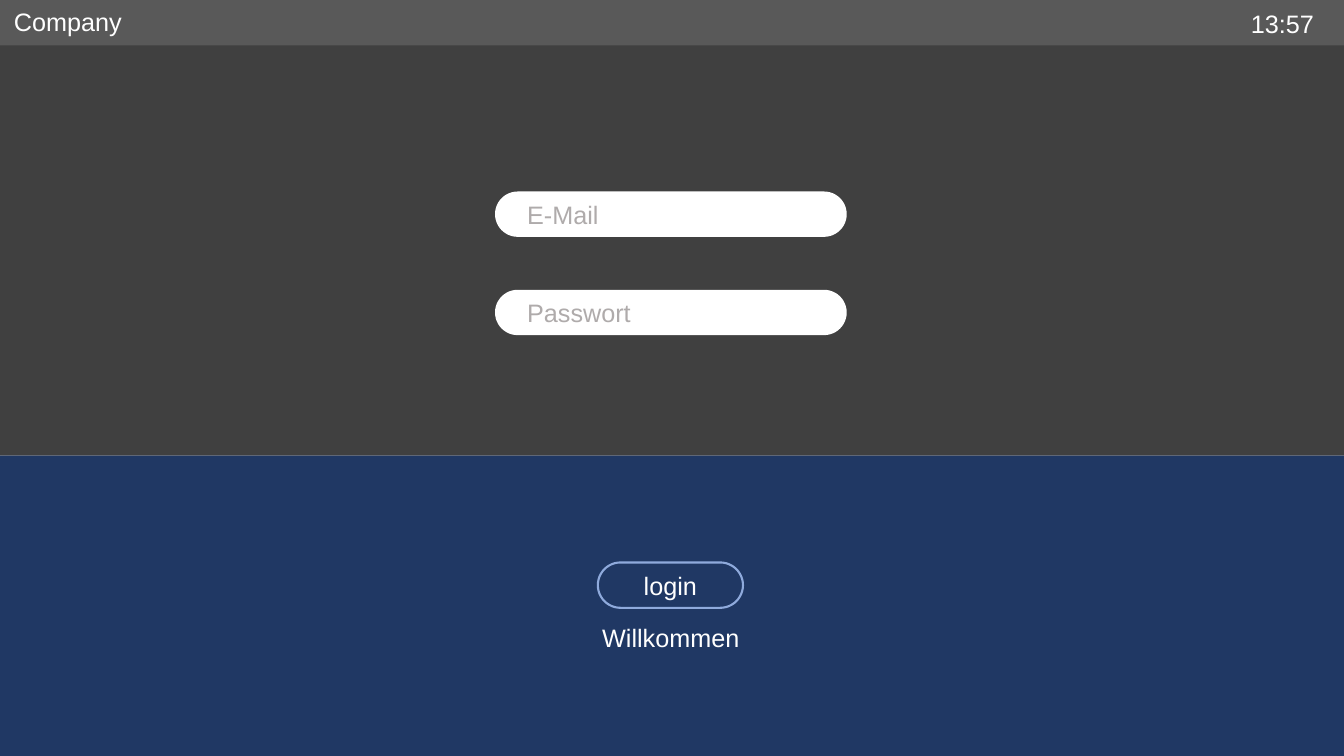
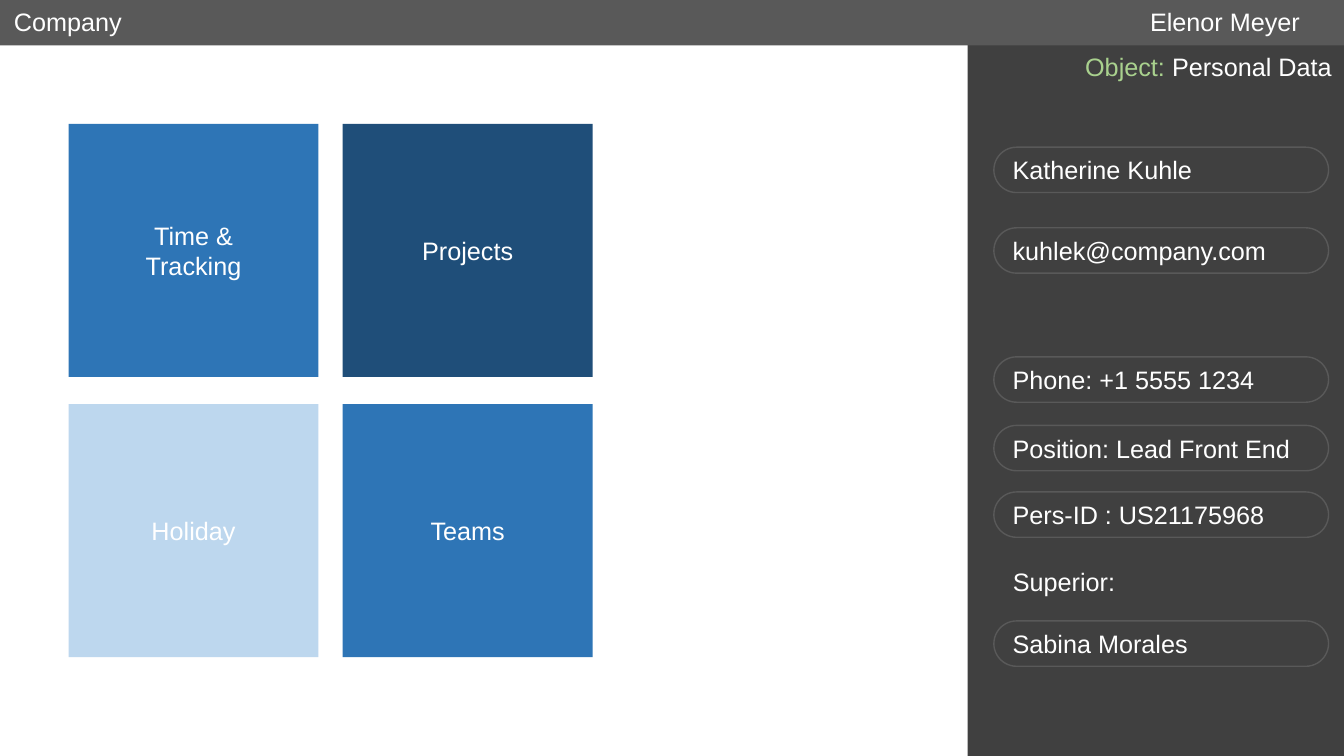
import dataclasses

import pptx
import pptx.dml.color
import pptx.enum.shapes
import pptx.enum.text
import pptx.util

SHAPE = pptx.enum.shapes.MSO_SHAPE
ALIGN = pptx.enum.text.PP_ALIGN
ANCHOR = pptx.enum.text.MSO_ANCHOR


@dataclasses.dataclass(frozen=True)
class Theme:
    font: str = "Arial"
    size: int = 18
    white: str = "FFFFFF"
    dark: str = "404040"
    gray: str = "595959"
    hint: str = "AFABAB"
    navy: str = "203864"
    outline: str = "8FAADC"
    green: str = "A9D18E"
    blue: str = "2E75B6"
    deep_blue: str = "1F4E79"
    pale_blue: str = "BDD7EE"


THEME = Theme()


class Screen:
    columns = 100
    rows = 100
    bar_height = 6
    label_height = 5.33

    def __init__(self, presentation):
        self.presentation = presentation
        self.slide = None

    def across(self, columns):
        return round(self.presentation.slide_width * columns / self.columns)

    def down(self, rows):
        return round(self.presentation.slide_height * rows / self.rows)

    def area(self, left, top, width, height):
        return self.across(left), self.down(top), self.across(width), self.down(height)

    def start(self):
        self.slide = self.presentation.slides.add_slide(self.presentation.slide_layouts[6])

    def set_text(self, shape, parts, align):
        frame = shape.text_frame
        frame.word_wrap = True
        paragraph = frame.paragraphs[0]
        paragraph.alignment = align
        for text, color in parts:
            run = paragraph.add_run()
            run.text = text
            run.font.name = THEME.font
            run.font.size = pptx.util.Pt(THEME.size)
            run.font.color.rgb = pptx.dml.color.RGBColor.from_string(color)

    def label(self, left, top, width, *parts, align=ALIGN.LEFT):
        box = self.slide.shapes.add_textbox(*self.area(left, top, width, self.label_height))
        self.set_text(box, parts, align)

    def block(self, left, top, width, height, fill=None, kind=SHAPE.RECTANGLE):
        shape = self.slide.shapes.add_shape(kind, *self.area(left, top, width, height))
        shape.shadow.inherit = False
        shape.line.fill.background()
        if fill:
            shape.fill.solid()
            shape.fill.fore_color.rgb = pptx.dml.color.RGBColor.from_string(fill)
        else:
            shape.fill.background()
        return shape

    def fill_text(self, shape, text, color, align, margin):
        frame = shape.text_frame
        frame.margin_left = frame.margin_right = self.across(margin)
        frame.margin_top = frame.margin_bottom = 0
        frame.vertical_anchor = ANCHOR.MIDDLE
        self.set_text(shape, [(text, color)], align)

    def pill(self, left, top, width, text, color=THEME.white, fill=None,
             line=None, weight=1, align=ALIGN.LEFT, margin=0.9):
        shape = self.block(left, top, width, self.bar_height, fill, SHAPE.ROUNDED_RECTANGLE)
        shape.adjustments[0] = 0.5
        if line:
            shape.line.color.rgb = pptx.dml.color.RGBColor.from_string(line)
            shape.line.width = pptx.util.Pt(weight)
        self.fill_text(shape, text, color, align, margin)

    def tile(self, left, top, width, height, text, fill):
        shape = self.block(left, top, width, height, fill)
        self.fill_text(shape, text, THEME.white, ALIGN.CENTER, 4.28)

    def header(self, left, top, width, status):
        self.block(0, 0, self.columns, self.bar_height, THEME.gray)
        self.label(0.3, 0.13, 11.48, ("Company", THEME.white))
        self.label(left, top, width, (status, THEME.white))


def build_login(screen):
    screen.start()
    screen.block(0, 0, 100, 60.27, THEME.dark)
    screen.block(0, 60.27, 100, 39.73, THEME.navy)
    screen.header(92.33, 0.4, 7.43, "13:57")
    for index, hint in enumerate(("E-Mail", "Passwort")):
        screen.pill(36.83, 25.33 + index * 13, 26.17, hint,
                    THEME.hint, fill=THEME.white, margin=1.9)
    screen.pill(44.48, 74.4, 10.8, "login", line=THEME.outline,
                weight=1.5, align=ALIGN.CENTER, margin=0)
    screen.label(43.42, 81.6, 12.98, ("Willkommen", THEME.white), align=ALIGN.CENTER)


def build_dashboard(screen):
    screen.start()
    screen.block(72, 0, 28, 100, THEME.dark)
    screen.header(84.83, 0.13, 15.17, "Elenor Meyer")
    screen.label(79.58, 6.13, 20.25, ("Object: ", THEME.green),
                 ("Personal Data", THEME.white), align=ALIGN.RIGHT)
    personal_data = (
        (19.47, "Katherine Kuhle"),
        (30.13, "kuhlek@company.com"),
        (47.2, "Phone: +1 5555 1234"),
        (56.27, "Position: Lead Front End"),
        (65.07, "Pers-ID : US21175968"),
        (82.13, "Sabina Morales"),
    )
    for top, text in personal_data:
        screen.pill(73.95, top, 24.9, text, line=THEME.gray)
    screen.label(74.63, 74.27, 22.8, ("Superior:", THEME.white))
    tiles = (
        ("Time & Tracking", THEME.blue),
        ("Projects", THEME.deep_blue),
        ("Holiday", THEME.pale_blue),
        ("Teams", THEME.blue),
    )
    for index, (text, fill) in enumerate(tiles):
        row, column = divmod(index, 2)
        screen.tile(5.1 + column * 20.4, 16.4 + row * 37.07, 18.6, 33.47, text, fill)


presentation = pptx.Presentation()
presentation.slide_width = pptx.util.Inches(13.33)
presentation.slide_height = pptx.util.Inches(7.5)
screen = Screen(presentation)
build_login(screen)
build_dashboard(screen)
presentation.save("out.pptx")
